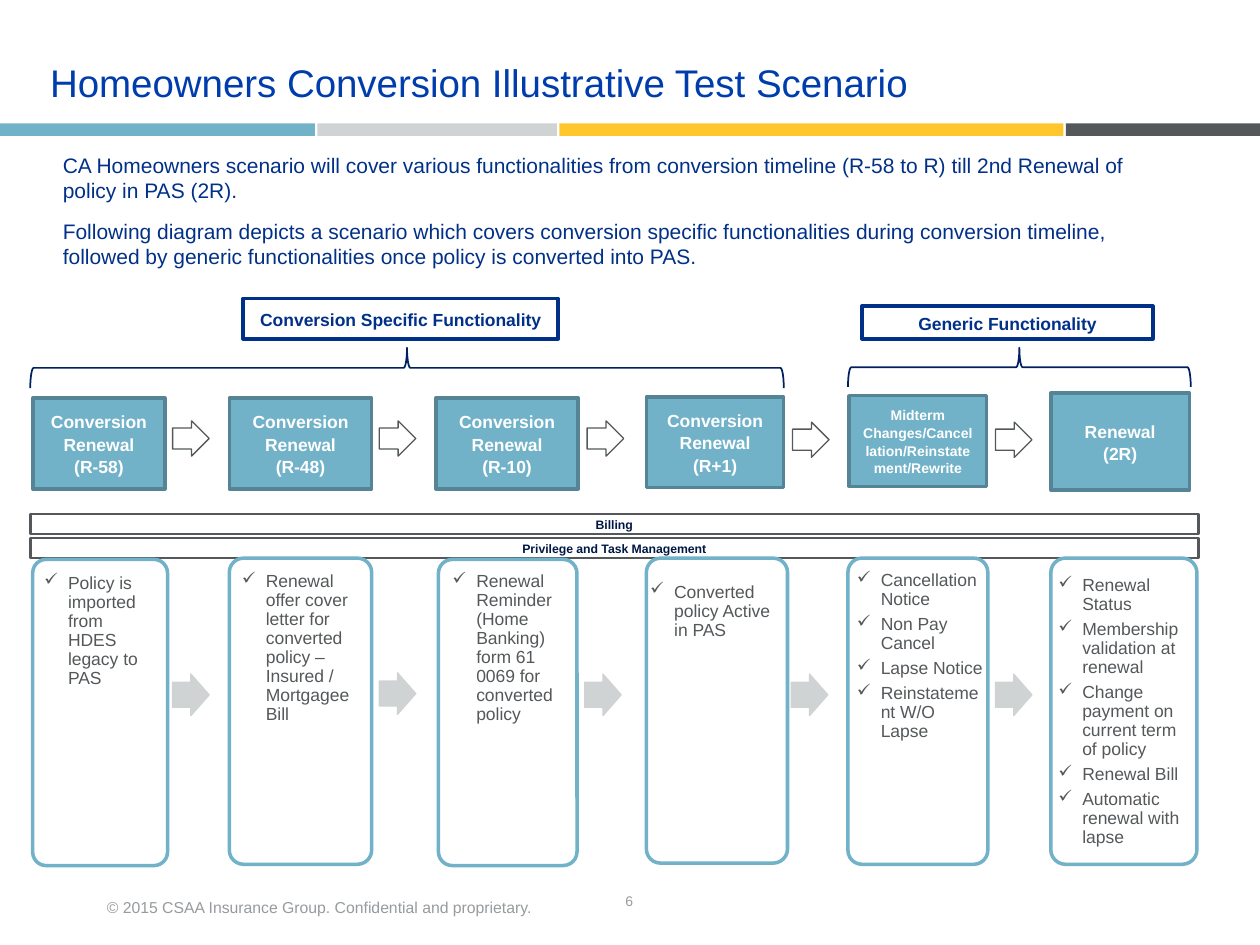
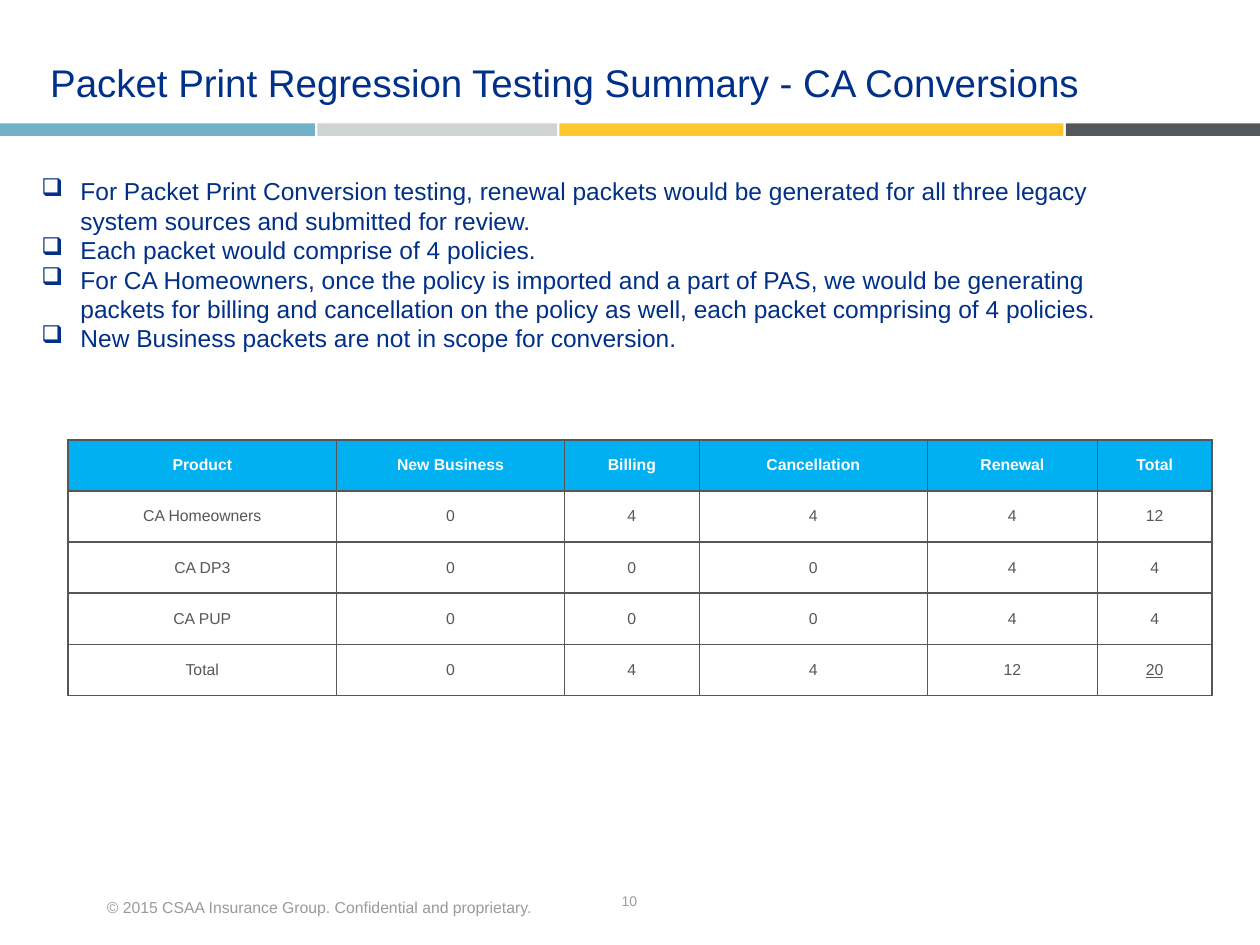
from dataclasses import dataclass
from typing import NamedTuple

from lxml import etree
from pptx import Presentation
from pptx.dml.color import RGBColor
from pptx.enum.shapes import MSO_SHAPE
from pptx.enum.text import MSO_ANCHOR, PP_ALIGN
from pptx.oxml.ns import qn
from pptx.util import Emu, Pt

PX = 9144
RECT = MSO_SHAPE.RECTANGLE
ROUND = MSO_SHAPE.ROUNDED_RECTANGLE
ARROW = MSO_SHAPE.RIGHT_ARROW
BRACE = MSO_SHAPE.LEFT_BRACE
LEFT, MID = PP_ALIGN.LEFT, PP_ALIGN.CENTER
TOP, CENTER = MSO_ANCHOR.TOP, MSO_ANCHOR.MIDDLE


@dataclass(frozen=True)
class Theme:
    """Colours, font and type sizes of the deck."""
    font: str = "Arial"
    white: str = "FFFFFF"
    navy: str = "003087"
    royal: str = "003DAC"
    dark: str = "002060"
    ink: str = "001844"
    teal: str = "71B2C9"
    edge: str = "548495"
    pale: str = "D0D3D4"
    gold: str = "FFC72C"
    slate: str = "54585A"
    mute: str = "979B9E"
    sky: str = "00B0F0"
    title: int = 22
    list: int = 14
    intro: int = 12
    label: int = 10
    note: int = 9
    small: int = 8
    tiny: int = 7


T = Theme()


class Box(NamedTuple):
    """A rectangle in px."""
    x: int
    y: int
    w: int
    h: int

    def sub(self, x, y, w, h):
        """Return a box placed relative to this one."""
        return Box(self.x + x, self.y + y, w, h)

    def emu(self):
        """Return the four lengths in EMU."""
        return [Emu(round(v * PX)) for v in self]


def put(frame, paras, size, color, bold=False, line=False, align=LEFT, anchor=TOP,
        inset=(10, 5, 10, 5), space=None, before=0, after=0, mark=None, hang=0):
    """Write paragraphs into a text frame with one format."""
    frame.word_wrap = True
    frame.vertical_anchor = anchor
    (frame.margin_left, frame.margin_top,
     frame.margin_right, frame.margin_bottom) = [Emu(v * PX) for v in inset]
    for i, words in enumerate([paras] if isinstance(paras, str) else paras):
        para = frame.add_paragraph() if i else frame.paragraphs[0]
        if mark:
            props = para._p.get_or_add_pPr()
            props.set("marL", str(hang * PX))
            props.set("indent", str(-hang * PX))
            etree.SubElement(props, qn("a:buChar")).set("char", mark)
        para.alignment = align
        para.line_spacing = space
        para.space_before = Pt(before if i else 0)
        para.space_after = Pt(after)
        run = para.add_run()
        run.text = words
        font = run.font
        font.name, font.size, font.bold = T.font, Pt(size), bold
        font.underline = line
        font.color.rgb = RGBColor.from_string(color)


def note(slide, box, paras, size, color, **form):
    """Add a text box."""
    put(slide.shapes.add_textbox(*box.emu()).text_frame, paras, size, color, **form)


def draw(slide, kind, box, fill=None, edge=None, width=1, adjust=()):
    """Add a preset shape and return it."""
    shape = slide.shapes.add_shape(kind, *box.emu())
    shape.shadow.inherit = False
    if fill:
        shape.fill.solid()
        shape.fill.fore_color.rgb = RGBColor.from_string(fill)
    else:
        shape.fill.background()
    if edge:
        shape.line.color.rgb = RGBColor.from_string(edge)
        shape.line.width = Pt(width)
    else:
        shape.line.fill.background()
    for i, value in enumerate(adjust):
        shape.adjustments[i] = value
    return shape


def label(slide, box, paras, size, color, fill, edge, width=2):
    """Add a rectangle with bold centred text."""
    shape = draw(slide, RECT, box, fill, edge, width)
    put(shape.text_frame, paras, size, color, bold=True, align=MID, anchor=CENTER,
        inset=(10, 10, 10, 10), space=1.06)


def brace(slide, box):
    """Add a brace that points up and fills the box."""
    x, y, w, h = box
    turned = Box(x + (w - h) / 2, y + (h - w) / 2, h, w)
    draw(slide, BRACE, turned, edge=T.dark).rotation = 90


def band(slide, box):
    """Draw the four-colour stripe."""
    x = 0
    for width, color in ((250, T.teal), (190, T.pale), (400, T.gold), (154, T.slate)):
        draw(slide, RECT, box.sub(x, 0, width, box.h), color)
        x += width + 2


def foot(slide, box, page):
    """Write the copyright line and page number."""
    note(slide, box.sub(308, 0, 233, 30), page, T.small, T.mute, align=MID, anchor=CENTER)
    note(slide, box.sub(0, 5, 396, 28),
         "© 2015 CSAA Insurance Group. Confidential and proprietary.",
         T.note, T.mute, space=1.15)


def frame(deck, title, color, page):
    """Add a slide with the shared title, stripe and footer."""
    slide = deck.slides.add_slide(deck.slide_layouts[6])
    foot(slide, Box(75, 700, 541, 33), page)
    band(slide, Box(0, 98, 1000, 10))
    note(slide, Box(30, 37, 930, 41), title, T.title, color,
         inset=(10, 8, 10, 5), space=1.06)
    return slide


def groups(slide, box):
    """Name the two groups of stages and span them with braces."""
    for text, place, span in (
            ("Conversion Specific Functionality", (169, 0, 250, 32), (0, 39, 598, 32)),
            ("Generic Functionality", (660, 6, 231, 26), (649, 39, 272, 31))):
        brace(slide, box.sub(*span))
        label(slide, box.sub(*place), text, T.label, T.navy, T.white, T.navy)


def bars(slide, box):
    """Draw the two full-width activity bars."""
    for i, text in enumerate(("Billing", "Privilege and Task Management")):
        label(slide, box.sub(0, 19 * i, box.w, 16), text, T.tiny, T.ink,
              T.white, T.slate, 1.5)


def arrows(slide, box, spots, high, fill, edge):
    """Draw a row of arrows between columns."""
    for x, y in spots:
        draw(slide, ARROW, box.sub(x, y, 29, high), fill, edge, 0.75, (0.6, 0.5))


def stages(slide, box):
    """Draw the stage boxes and the arrows between them."""
    turn = "Conversion Renewal"
    for place, paras, size in (
            ((0, 4, 105, 72), (turn, "(R-58)"), T.label),
            ((156, 4, 113, 72), (turn, "(R-48)"), T.label),
            ((320, 4, 113, 72), (turn, "(R-10)"), T.label),
            ((487, 3, 109, 72), turn + " (R+1)", T.label),
            ((648, 2, 109, 72), "Midterm Changes/Cancellation/Reinstatement/Rewrite", T.small),
            ((808, 0, 110, 77), ("Renewal", "(2R)"), T.label)):
        label(slide, box.sub(*place), paras, size, T.white, T.teal, T.edge)
    arrows(slide, box, ((111, 22), (275, 22), (440, 22), (603, 23), (764, 23)),
           28, T.white, T.slate)


def panels(slide, box):
    """Draw the rounded check lists and the arrows between them."""
    for place, inner, items in (
            ((0, 1, 107, 243), (5, 10, 96, 96),
             ["Policy is imported from HDES legacy to PAS"]),
            ((156, 0, 113, 243), (162, 23, 96, 97),
             ["Renewal offer cover letter for converted policy –Insured / Mortgagee Bill"]),
            ((322, 1, 110, 243), (329, 11, 97, 121),
             ["Renewal Reminder (Home Banking) form 61 0069 for converted policy"]),
            ((487, 0, 112, 242), (486, 8, 105, 69),
             ["Converted policy Active in PAS"]),
            ((647, 0, 111, 243), (650, 5, 111, 146),
             ["Cancellation Notice", "Non Pay Cancel", "Lapse Notice",
              "Reinstatement W/O Lapse"]),
            ((808, 0, 116, 243), (810, 36, 110, 172),
             ["Renewal Status", "Membership validation at renewal",
              "Change payment on current term of policy", "Renewal Bill",
              "Automatic renewal with lapse"])):
        draw(slide, ROUND, box.sub(*place), T.white, T.teal, 2, (0.1,))
        note(slide, box.sub(*inner), items, T.label, T.slate, anchor=CENTER,
             inset=(4, 4, 4, 4), space=0.9, after=3.5, mark="✓", hang=19)
    arrows(slide, box, ((111, 92), (275, 91), (438, 92), (602, 92), (764, 92)),
           33, T.pale, T.pale)


def border(cell):
    """Rule all four sides of a cell."""
    props = cell._tc.get_or_add_tcPr()
    for i, side in enumerate(("lnL", "lnR", "lnT", "lnB")):
        rule = etree.Element(qn("a:" + side), w=str(Pt(1)))
        fill = etree.SubElement(rule, qn("a:solidFill"))
        etree.SubElement(fill, qn("a:srgbClr")).set("val", T.slate)
        props.insert(i, rule)


def grid(slide, box, rows, widths):
    """Add the table of packet counts."""
    table = slide.shapes.add_table(len(rows), len(widths), *box.emu()).table
    table.first_row = table.horz_banding = False
    for col, width in zip(table.columns, widths):
        col.width = Emu(width * PX)
    last = len(rows) - 1, len(widths) - 1
    for r, row in enumerate(rows):
        for c, value in enumerate(row):
            cell, top = table.cell(r, c), r == 0
            if top:
                cell.fill.solid()
                cell.fill.fore_color.rgb = RGBColor.from_string(T.sky)
            else:
                cell.fill.background()
            put(cell.text_frame, str(value), T.note, T.white if top else T.slate,
                bold=top, line=(r, c) == last, align=MID)
            cell.vertical_anchor = CENTER
            border(cell)


def flow(deck):
    """Build the test scenario slide."""
    slide = frame(deck, "Homeowners Conversion Illustrative Test Scenario", T.royal, "6")
    note(slide, Box(40, 116, 872, 104), (
        "CA Homeowners scenario will cover various functionalities from conversion "
        "timeline (R-58 to R) till 2nd Renewal of policy in PAS (2R).",
        "Following diagram depicts a scenario which covers conversion specific "
        "functionalities during conversion timeline, followed by generic "
        "functionalities once policy is converted into PAS."),
        T.intro, T.navy, before=9)
    groups(slide, Box(24, 237, 921, 71))
    bars(slide, Box(24, 408, 927, 35))
    panels(slide, Box(26, 443, 924, 244))
    stages(slide, Box(26, 312, 918, 77))


def counts(deck):
    """Build the packet print summary slide."""
    slide = frame(deck, "Packet Print Regression Testing Summary - CA Conversions",
                  T.navy, "10")
    note(slide, Box(23, 135, 908, 198), (
        "For Packet Print Conversion testing, renewal packets would be generated for "
        "all three legacy system sources and submitted for review.",
        "Each packet would comprise of 4 policies.",
        "For CA Homeowners, once the policy is imported and a part of PAS, we would be "
        "generating packets for billing and cancellation on the policy as well, each "
        "packet comprising of 4 policies.",
        "New Business packets are not in scope for conversion."),
        T.list, T.navy, mark="❑", hang=31)
    grid(slide, Box(54, 349, 908, 203), (
        ("Product", "New Business", "Billing", "Cancellation", "Renewal", "Total"),
        ("CA Homeowners", 0, 4, 4, 4, 12),
        ("CA DP3", 0, 0, 0, 4, 4),
        ("CA PUP", 0, 0, 0, 4, 4),
        ("Total", 0, 4, 4, 12, 20)), (213, 181, 107, 181, 135, 91))


def main():
    """Build and save the deck."""
    deck = Presentation()
    deck.slide_width, deck.slide_height = Emu(1000 * PX), Emu(750 * PX)
    flow(deck)
    counts(deck)
    deck.save("out.pptx")


if __name__ == "__main__":
    main()
